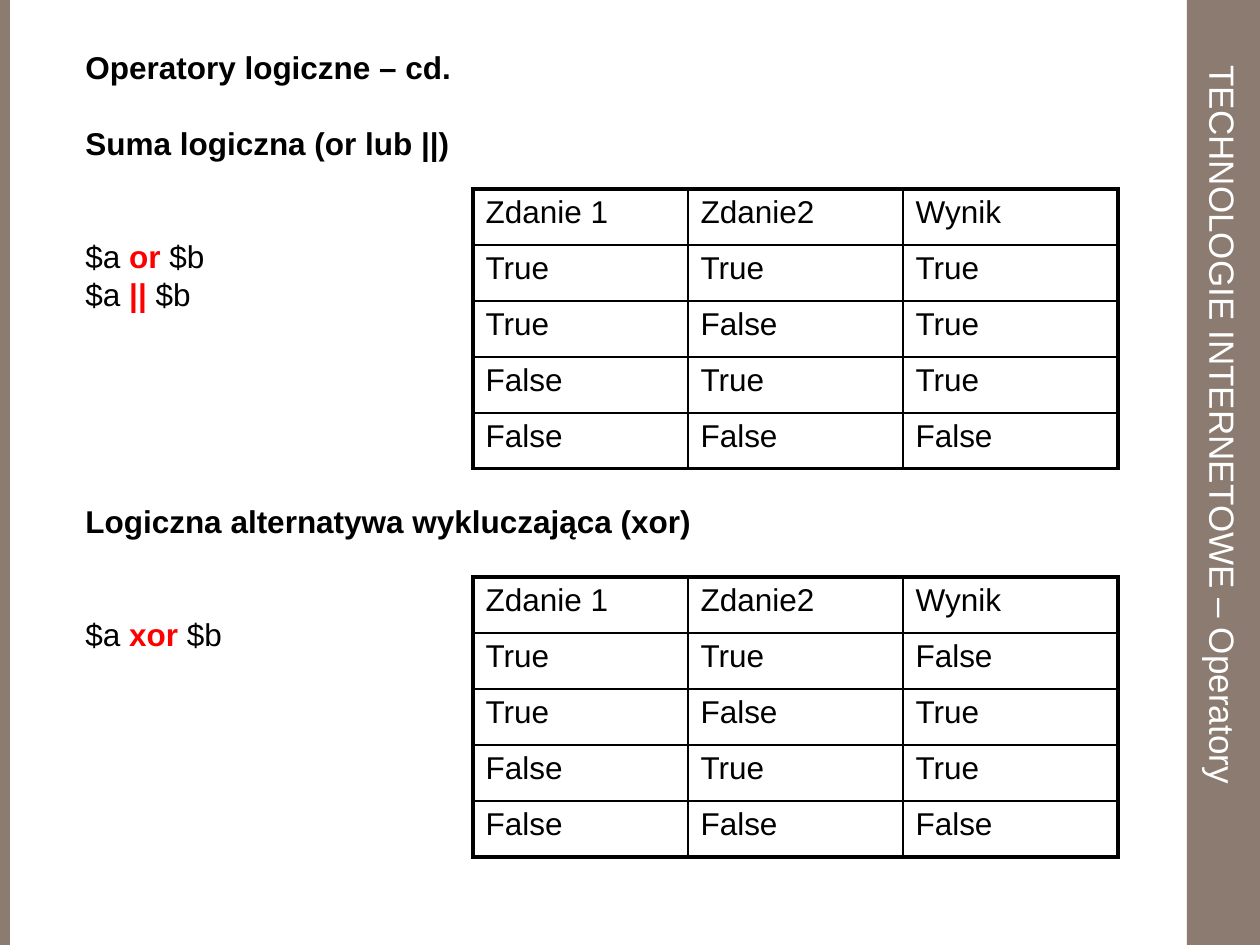
from lxml import etree
from pptx import Presentation
from pptx import util as u
from pptx.dml.color import RGBColor
from pptx.enum import shapes, text
from pptx.oxml.ns import qn

BLACK, RED, WHITE, BROWN = "000000", "FF0000", "FFFFFF", "8C7B70"
FONT = "Arial"
LINE_PITCH = 21.6
THIN, THICK = 1, 2.25

BARS = [(1187, 0, 73, 945), (0, 0, 10, 945)]
TITLE = ((1187, 53, 73, 840), "TECHNOLOGIE INTERNETOWE – Operatory")
BODY_BOX = (73, 42, 1092, 656)
PLAIN, HEADING, OPERATOR = (BLACK, False), (BLACK, True), (RED, True)
BODY = [
    (0, [("Operatory logiczne – cd.", HEADING)]),
    (1, [("Suma logiczna (or lub ||)", HEADING)]),
    (2, [("$a ", PLAIN), ("or", OPERATOR), (" $b", PLAIN)]),
    (0, [("$a ", PLAIN), ("||", OPERATOR), (" $b", PLAIN)]),
    (5, [("Logiczna alternatywa wykluczająca (xor)", HEADING)]),
    (2, [("$a ", PLAIN), ("xor", OPERATOR), (" $b", PLAIN)]),
]
HEADER = ("Zdanie 1", "Zdanie2", "Wynik")
INPUTS = [("True", "True"), ("True", "False"), ("False", "True"), ("False", "False")]
TABLE_LEFT, COLUMN_WIDTH, ROW_HEIGHT = 473, 215, 56
TRUTH_TABLES = [
    (189, ("True", "True", "True", "False")),
    (577, ("False", "True", "True", "False")),
]


def px(length):
    return u.Emu(round(length * 914400 / 126))


def color(value):
    return RGBColor.from_string(value)


def add_run(paragraph, words, size, font_color, bold=False):
    run = paragraph.add_run()
    run.text = words
    for name, value in dict(name=FONT, size=u.Pt(size), bold=bold).items():
        setattr(run.font, name, value)
    run.font.color.rgb = color(font_color)


def add_bar(slide, box):
    bar = slide.shapes.add_shape(shapes.MSO_SHAPE.RECTANGLE, *map(px, box))
    bar.shadow.inherit = False
    bar.fill.solid()
    bar.fill.fore_color.rgb = color(BROWN)
    bar.line.fill.background()


def add_body(slide):
    frame = slide.shapes.add_textbox(*map(px, BODY_BOX)).text_frame
    frame.word_wrap = True
    for index, (skipped_lines, runs) in enumerate(BODY):
        paragraph = frame.add_paragraph() if index else frame.paragraphs[0]
        paragraph.line_spacing = u.Pt(LINE_PITCH)
        paragraph.space_before = u.Pt(skipped_lines * LINE_PITCH)
        properties = paragraph._p.get_or_add_pPr()
        properties.set("marL", str(px(48)))
        properties.set("indent", str(px(-48)))
        for words, (font_color, bold) in runs:
            add_run(paragraph, words, 18, font_color, bold)


def add_title(slide):
    box, words = TITLE
    frame = slide.shapes.add_textbox(*map(px, box)).text_frame
    frame.word_wrap = True
    frame.vertical_anchor = text.MSO_ANCHOR.MIDDLE
    frame._txBody.bodyPr.set("vert", "eaVert")
    add_run(frame.paragraphs[0], words, 20, WHITE)


def set_borders(cell, widths):
    properties = cell._tc.get_or_add_tcPr()
    for position, (side, width) in enumerate(widths.items()):
        line = etree.Element(qn(f"a:ln{side}"), w=str(u.Pt(width)))
        fill = etree.SubElement(line, qn("a:solidFill"))
        etree.SubElement(fill, qn("a:srgbClr"), val=BLACK)
        properties.insert(position, line)


def add_truth_table(slide, top, results):
    rows = [HEADER] + [(*pair, result) for pair, result in zip(INPUTS, results)]
    last_row, last_column = len(rows) - 1, len(HEADER) - 1
    box = (TABLE_LEFT, top, COLUMN_WIDTH * len(HEADER), ROW_HEIGHT * len(rows))
    table = slide.shapes.add_table(len(rows), len(HEADER), *map(px, box)).table
    table.first_row = table.horz_banding = False
    for column in table.columns:
        column.width = px(COLUMN_WIDTH)
    for row_index, words in enumerate(rows):
        table.rows[row_index].height = px(ROW_HEIGHT)
        for column_index, word in enumerate(words):
            cell = table.cell(row_index, column_index)
            cell.fill.background()
            add_run(cell.text_frame.paragraphs[0], word, 18, BLACK)
            outer = {
                "L": column_index == 0,
                "R": column_index == last_column,
                "T": row_index == 0,
                "B": row_index == last_row,
            }
            set_borders(cell, {side: THICK if edge else THIN for side, edge in outer.items()})


def main():
    presentation = Presentation()
    presentation.slide_width, presentation.slide_height = px(1260), px(945)
    slide = presentation.slides.add_slide(presentation.slide_layouts[6])
    for box in BARS:
        add_bar(slide, box)
    add_body(slide)
    add_title(slide)
    for top, results in TRUTH_TABLES:
        add_truth_table(slide, top, results)
    presentation.save("out.pptx")


if __name__ == "__main__":
    main()
